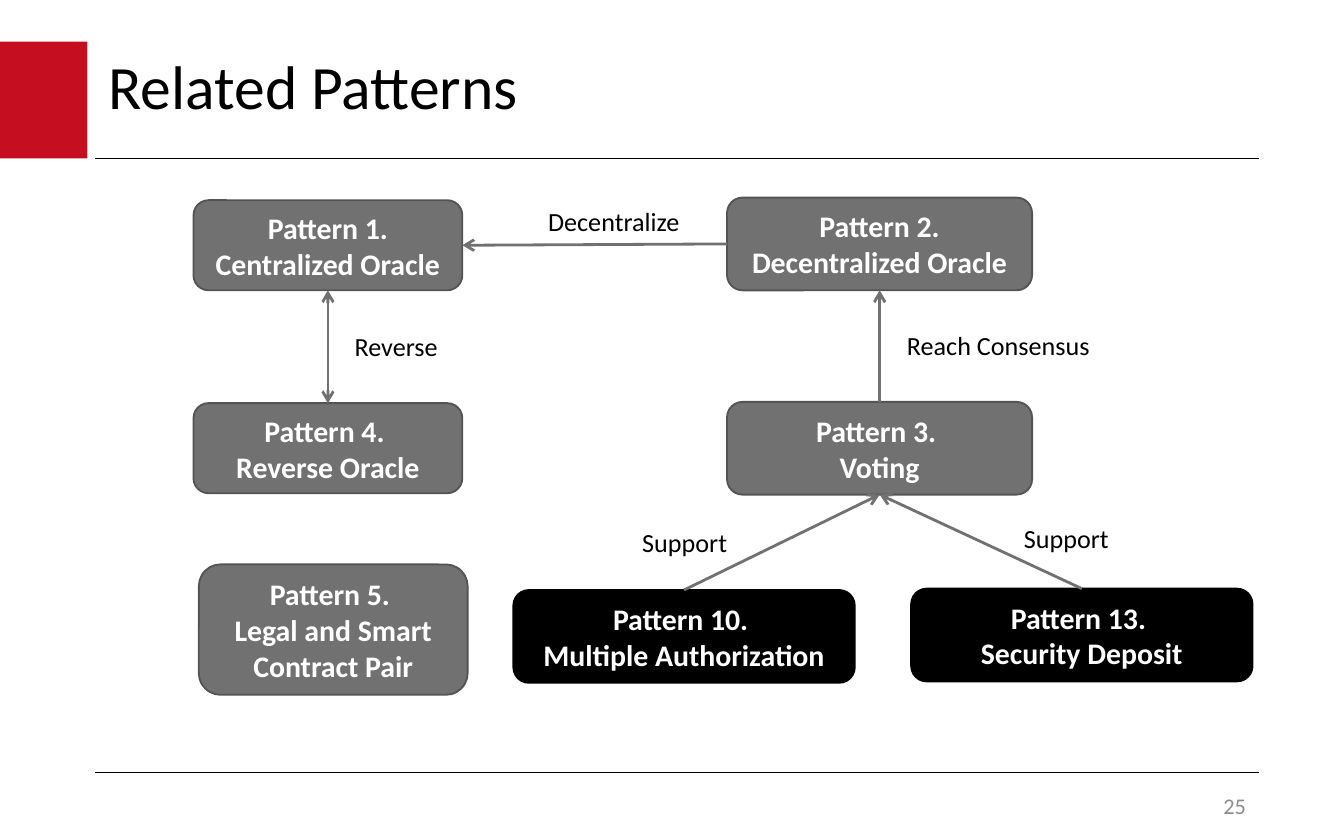
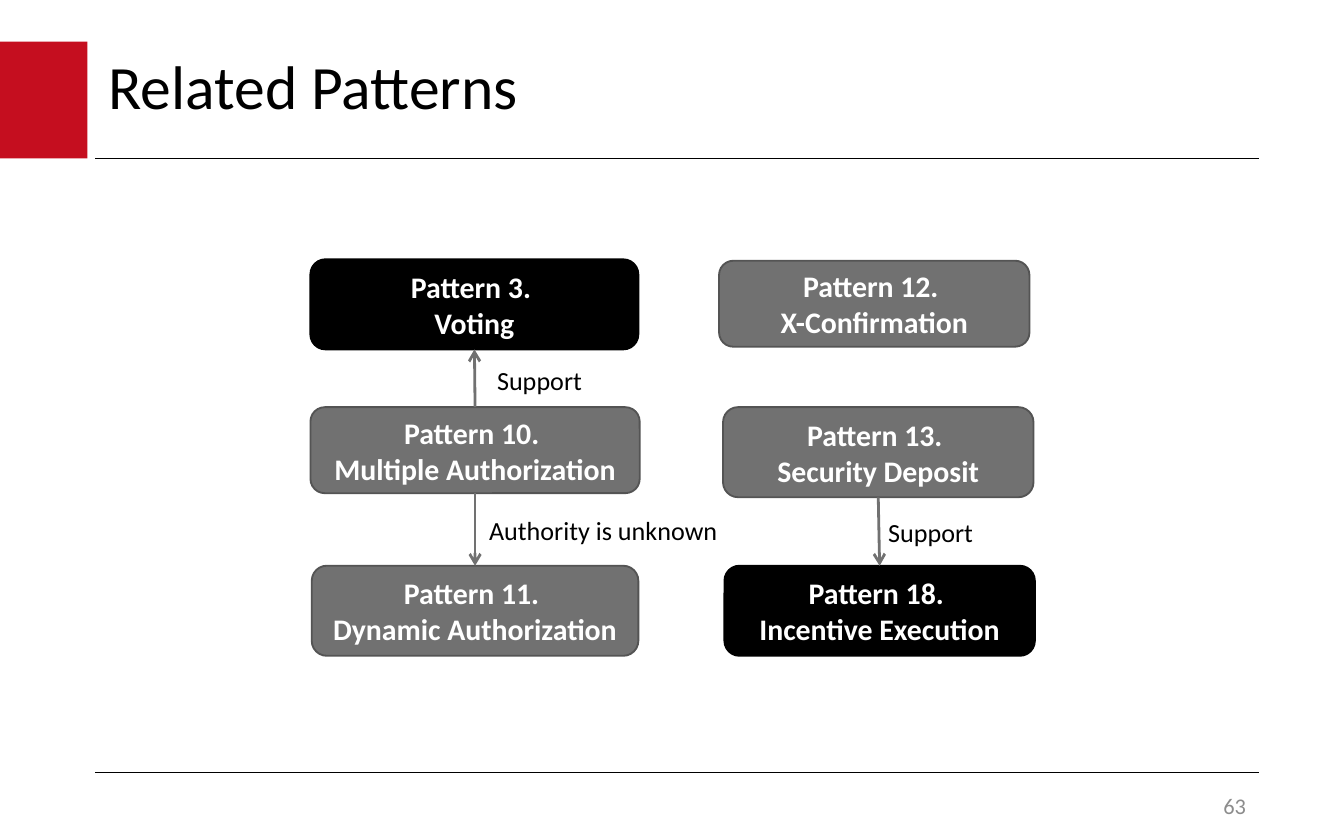
from lxml.etree import SubElement
from pptx import Presentation
from pptx.dml.color import RGBColor
from pptx.enum.shapes import MSO_CONNECTOR as LINE, MSO_SHAPE as SHAPE
from pptx.enum.text import MSO_ANCHOR as ANCHOR, MSO_AUTO_SIZE as FIT, PP_ALIGN as ALIGN
from pptx.oxml.ns import qn
from pptx.util import Pt

PX = 9144
RED = RGBColor(0xC5, 0x0E, 0x1F)
GRAY = RGBColor(0x71, 0x71, 0x71)
EDGE = RGBColor(0x54, 0x54, 0x54)
PALE = RGBColor(0x8C, 0x8C, 0x8C)
BLACK = RGBColor(0, 0, 0)
WHITE = RGBColor(0xFF, 0xFF, 0xFF)

TITLE = {"size": Pt(33), "color": BLACK}
NODE = {"size": Pt(16), "color": WHITE, "bold": True}
LABEL = {"size": Pt(14), "color": BLACK}
NUMBER = {"size": Pt(12), "color": PALE}
TOP, LEFT, BOTTOM, RIGHT = range(4)


def px(*values):
    return [v * PX for v in values]


def set_text(tf, lines, style, align=ALIGN.LEFT, spacing=None):
    for i, line in enumerate(lines):
        p = tf.paragraphs[0] if i == 0 else tf.add_paragraph()
        p.alignment = align
        p.line_spacing = spacing
        r = p.add_run()
        r.text = line
        r.font.name = "Calibri"
        for name, value in style.items():
            if name == "color":
                r.font.color.rgb = value
            else:
                setattr(r.font, name, value)


def add_text(s, box, text, style, wrap=True, **layout):
    tf = s.shapes.add_textbox(*px(*box)).text_frame
    tf.word_wrap = wrap
    tf.auto_size = FIT.NONE if wrap else FIT.SHAPE_TO_FIT_TEXT
    tf.vertical_anchor = ANCHOR.MIDDLE if wrap else ANCHOR.TOP
    set_text(tf, [text], style, **layout)


def add_label(s, x, y, w, text):
    add_text(s, (x, y, w, 34), text, LABEL, wrap=False)


def add_box(s, kind, box, fill, edge=None):
    sp = s.shapes.add_shape(kind, *px(*box))
    sp.shadow.inherit = False
    sp.fill.solid()
    sp.fill.fore_color.rgb = fill
    if edge is None:
        sp.line.fill.background()
    else:
        sp.line.color.rgb = edge
        sp.line.width = Pt(1)
    return sp


def add_node(s, box, *lines, fill=GRAY, edge=EDGE):
    sp = add_box(s, SHAPE.ROUNDED_RECTANGLE, box, fill, edge)
    tf = sp.text_frame
    tf.word_wrap = True
    tf.vertical_anchor = ANCHOR.MIDDLE
    set_text(tf, lines, NODE, ALIGN.CENTER)
    return sp


def add_outside_node(s, box, *lines):
    return add_node(s, box, *lines, fill=BLACK, edge=BLACK)


def add_line(s, ends, color, width):
    c = s.shapes.add_connector(LINE.STRAIGHT, *px(*ends))
    c.line.color.rgb = color
    c.line.width = Pt(width)
    SubElement(c.element.spPr, qn("a:effectLst"))
    return c


def add_arrow(s, start, start_side, end, end_side, heads=("tailEnd",)):
    c = add_line(s, (0, 0, 0, 0), GRAY, 1.5)
    c.begin_connect(start, start_side)
    c.end_connect(end, end_side)
    ln = c.element.spPr.find(qn("a:ln"))
    for head in heads:
        SubElement(ln, qn(f"a:{head}"), type="arrow")


def add_slide(prs, title, number):
    s = prs.slides.add_slide(prs.slide_layouts[6])
    add_box(s, SHAPE.RECTANGLE, (0, 31, 65, 87), RED)
    for y in (118, 575):
        add_line(s, (71, y, 937, y), BLACK, 0.75)
    add_text(s, (71, 31, 866, 71), title, TITLE, spacing=0.9)
    add_text(s, (734, 587, 203, 25), number, NUMBER, align=ALIGN.RIGHT)
    return s


def build_oracle_slide(prs):
    s = add_slide(prs, "Related Patterns", "25")
    centralized = add_node(s, (144, 149, 200, 67), "Pattern 1. Centralized Oracle")
    decentralized = add_node(s, (541, 147, 227, 69), "Pattern 2. Decentralized Oracle")
    voting = add_node(s, (541, 299, 227, 69), "Pattern 3. ", "Voting")
    reverse = add_node(s, (144, 300, 200, 67), "Pattern 4. ", "Reverse Oracle")
    add_node(s, (148, 420, 200, 97), "Pattern 5. ", "Legal and Smart Contract Pair")
    authorization = add_outside_node(s, (382, 439, 254, 69), "Pattern 10. ", "Multiple Authorization")
    deposit = add_outside_node(s, (678, 438, 254, 69), "Pattern 13. ", "Security Deposit")

    add_arrow(s, decentralized, LEFT, centralized, RIGHT)
    add_arrow(s, voting, TOP, decentralized, BOTTOM)
    add_arrow(s, reverse, TOP, centralized, BOTTOM, heads=("headEnd", "tailEnd"))
    for supporter in (authorization, deposit):
        add_arrow(s, supporter, TOP, voting, BOTTOM)

    add_label(s, 398, 148, 120, "Decentralize")
    add_label(s, 665, 240, 158, "Reach Consensus")
    add_label(s, 254, 241, 84, "Reverse")
    add_label(s, 468, 387, 84, "Support")
    add_label(s, 752, 384, 84, "Support")


def build_authorization_slide(prs):
    s = add_slide(prs, "Related Patterns", "63")
    multiple = add_node(s, (231, 303, 245, 64), "Pattern 10. ", "Multiple Authorization")
    dynamic = add_node(s, (232, 421, 243, 67), "Pattern 11. ", "Dynamic Authorization")
    deposit = add_node(s, (538, 303, 231, 67), "Pattern 13. ", "Security Deposit")
    add_node(s, (535, 194, 231, 64), "Pattern 12. ", "X-Confirmation")
    incentive = add_outside_node(s, (539, 421, 231, 67), "Pattern 18. ", "Incentive Execution")
    voting = add_outside_node(s, (231, 193, 244, 67), "Pattern 3. ", "Voting")

    add_arrow(s, multiple, TOP, voting, BOTTOM)
    add_arrow(s, multiple, BOTTOM, dynamic, TOP)
    add_arrow(s, deposit, BOTTOM, incentive, TOP)

    add_label(s, 360, 266, 84, "Support")
    add_label(s, 354, 378, 192, "Authority is unknown")
    add_label(s, 651, 379, 84, "Support")


def main():
    """Build the two slides of related patterns."""
    prs = Presentation()
    prs.slide_width, prs.slide_height = px(1000, 625)
    build_oracle_slide(prs)
    build_authorization_slide(prs)
    prs.save("out.pptx")


if __name__ == "__main__":
    main()
